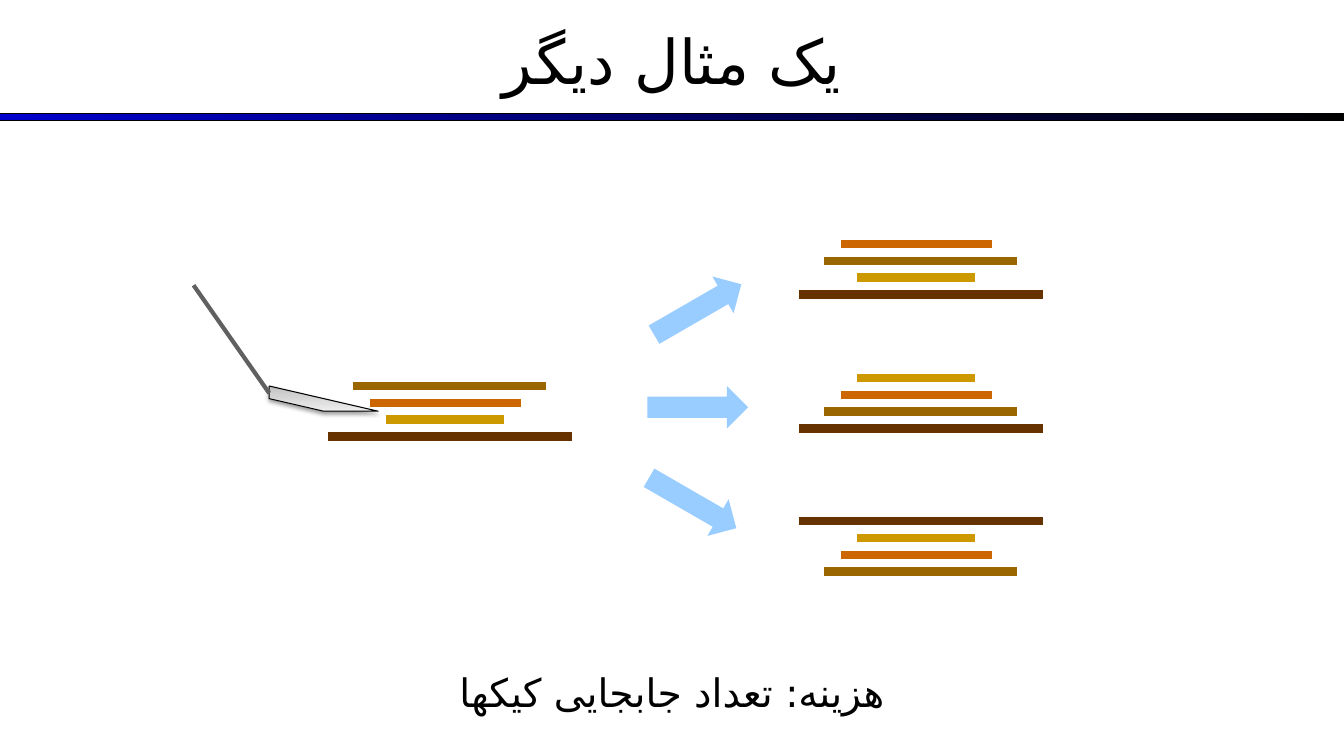
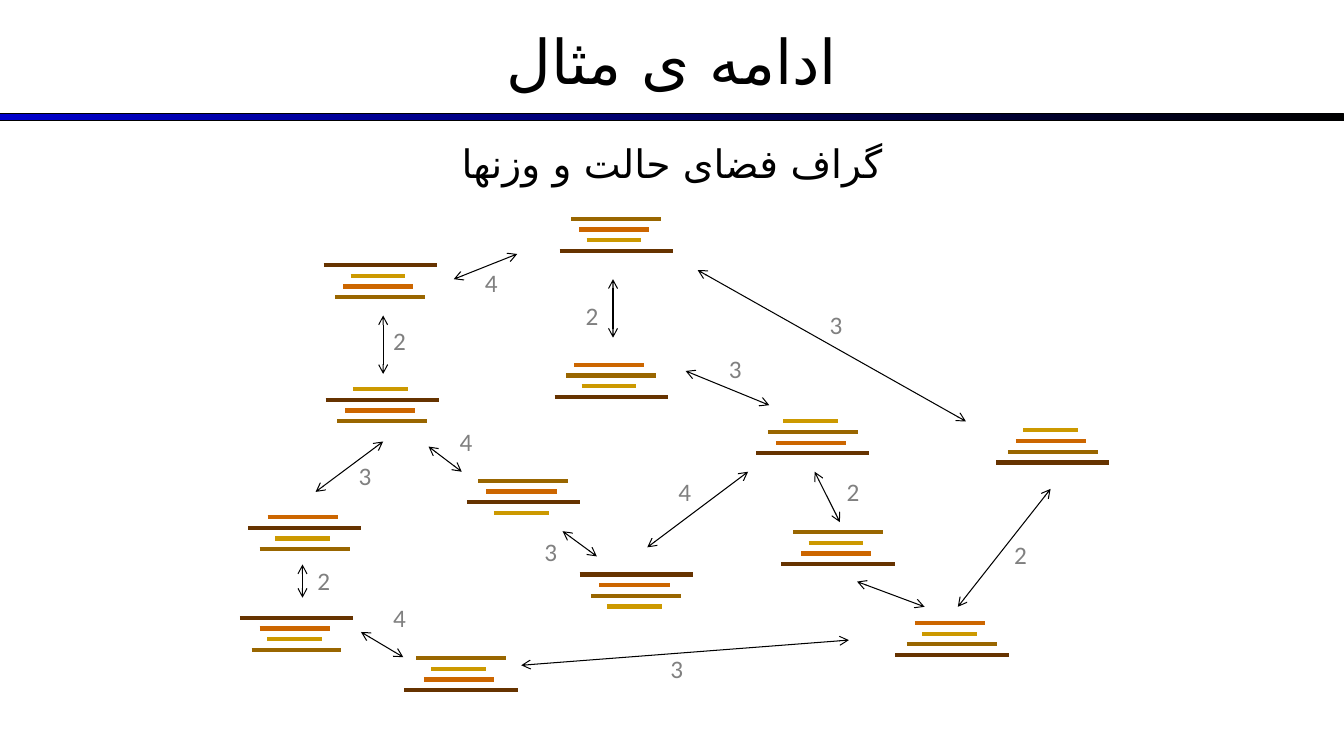
from dataclasses import dataclass

from pptx import Presentation
from pptx.dml.color import RGBColor
from pptx.enum.shapes import MSO_CONNECTOR as CONN, MSO_SHAPE as SHAPE
from pptx.enum.text import MSO_ANCHOR as ANCHOR, MSO_AUTO_SIZE as AUTO, PP_ALIGN as ALIGN
from pptx.oxml import parse_xml
from pptx.oxml.ns import nsdecls, qn
from pptx.oxml.xmlchemy import OxmlElement
from pptx.util import Inches, Pt


@dataclass(frozen=True)
class Theme:
    font: str = "Calibri"
    persian_font: str = "DejaVu Sans"
    title_size: int = 44
    caption_size: int = 28
    weight_size: int = 18
    ink: str = "000000"
    weight: str = "808080"
    arrow: str = "99CCFF"
    handle: str = "606060"
    band: tuple = ((0, "0000CC"), (100, "000000"))
    blade: tuple = ((0, "BDBDBD"), (35, "D1D1D1"), (100, "EEEEEE"))


T = Theme()
WIDTH, HEIGHT = 13.33, 7.5

# size letter: (left offset, width, colour), for a full-size stack
PANCAKES = {
    "S": (0.58, 1.17, "CC9900"),
    "M": (0.42, 1.5, "CC6600"),
    "L": (0.25, 1.92, "996600"),
    "X": (0, 2.42, "663300"),
}

# stacks: (left, top, pancakes from top to bottom)
FLIP_STACKS = [
    (3.25, 3.83, "LMSX"),
    (7.92, 2.42, "MLSX"),
    (7.92, 3.75, "SMLX"),
    (7.92, 5.17, "XSML"),
]
# arrows: (left, top, rotation)
FLIP_ARROWS = [(6.42, 2.86, -30), (6.42, 3.83, 0), (6.37, 4.78, 30)]

STATES = [
    (3.21, 2.63, "XSML"),
    (3.23, 3.86, "SXML"),
    (5.55, 2.17, "LMSX"),
    (2.46, 5.13, "MXSL"),
    (4.63, 4.77, "LMXS"),
    (9.88, 4.27, "SMLX"),
    (5.5, 3.62, "MLSX"),
    (5.75, 5.7, "XMLS"),
    (2.38, 6.13, "XMSL"),
    (4.01, 6.53, "LSMX"),
    (7.5, 4.18, "SLMX"),
    (8.88, 6.18, "MSLX"),
    (7.75, 5.28, "LSMX"),
]

# edges: (start, end, weight, place of the weight)
EDGES = [
    ((5.13, 2.52), (4.5, 2.77), "4", (4.71, 2.6)),
    ((3.8, 3.71), (3.8, 3.13), "2", (3.8, 3.18)),
    ((3.13, 4.88), (3.8, 4.38), "3", (3.46, 4.52)),
    ((4.58, 4.68), (4.25, 4.43), "4", (4.46, 4.18)),
    ((3, 5.93), (3, 5.6), "2", (3.05, 5.56)),
    ((4, 6.52), (3.58, 6.27), "4", (3.8, 5.93)),
    ((8.42, 6.35), (5.17, 6.6), "3", (6.55, 6.43)),
    ((5.92, 5.52), (5.58, 5.27), "3", (5.3, 5.27)),
    ((7.42, 4.68), (6.42, 5.43), "4", (6.63, 4.68)),
    ((6.8, 3.68), (7.63, 4.02), "3", (7.13, 3.46)),
    ((6.08, 2.77), (6.08, 3.35), "2", (5.71, 2.93)),
    ((9.58, 4.18), (6.92, 2.68), "3", (8.13, 3.02)),
    ((8.08, 4.68), (8.33, 5.18), "2", (8.3, 4.68)),
    ((8.5, 5.77), (9.17, 6.02), None, None),
    ((9.5, 6.02), (10.42, 4.85), "2", (9.96, 5.3)),
]


def rgb(code):
    return RGBColor.from_string(code)


def format_text(tf, size, color, align):
    p = tf.paragraphs[0]
    p.alignment = align
    r = p.runs[0]
    r.font.size = Pt(size)
    r.font.name = T.font
    r.font.color.rgb = rgb(color)
    return p


def format_persian(tf, size):
    """Centre right-to-left text and name its complex-script font."""
    p = format_text(tf, size, T.ink, ALIGN.CENTER)
    p._p.get_or_add_pPr().set("rtl", "1")
    cs = OxmlElement("a:cs")
    cs.set("typeface", T.persian_font)
    p.runs[0].font._element.append(cs)


def add_text(s, left, top, width, height, text):
    box = s.shapes.add_textbox(Inches(left), Inches(top), Inches(width), Inches(height))
    tf = box.text_frame
    tf.word_wrap = True
    tf.auto_size = AUTO.SHAPE_TO_FIT_TEXT
    tf.text = text
    return tf


def add_caption(s, top, text):
    format_persian(add_text(s, 0, top, WIDTH, 0.57, text), T.caption_size)


def add_line(s, start, end, color, width):
    line = s.shapes.add_connector(CONN.STRAIGHT, *map(Inches, start + end))
    line.line.color.rgb = rgb(color)
    line.line.width = Pt(width)
    line.element.spPr.append(OxmlElement("a:effectLst"))
    return line


def add_double_arrow(s, start, end):
    line = add_line(s, start, end, T.ink, 0.75)
    ln = line.element.spPr.find(qn("a:ln"))
    for tag in ("a:headEnd", "a:tailEnd"):
        tip = OxmlElement(tag)
        tip.set("type", "arrow")
        ln.append(tip)


def add_shape(s, kind, left, top, width, height):
    sp = s.shapes.add_shape(kind, Inches(left), Inches(top), Inches(width), Inches(height))
    sp.shadow.inherit = False
    return sp


def fill_gradient(sp, stops, angle):
    """Give a shape a linear gradient, with a thin outline."""
    gs = "".join(
        f'<a:gs pos="{pos * 1000}"><a:srgbClr val="{color}"/></a:gs>' for pos, color in stops
    )
    grad = parse_xml(
        f'<a:gradFill {nsdecls("a")} rotWithShape="1"><a:gsLst>{gs}</a:gsLst>'
        f'<a:lin ang="{angle * 60000}" scaled="0"/></a:gradFill>'
    )
    sp.element.spPr.find(qn("a:prstGeom")).addnext(grad)
    sp.line.color.rgb = rgb(T.ink)
    sp.line.width = Pt(0.75)


def add_stack(s, left, top, order, pitch, scale, weight):
    for row, size in enumerate(order):
        offset, width, color = PANCAKES[size]
        x, y = left + offset * scale, top + row * pitch
        add_line(s, (x, y), (x + width * scale, y), color, weight)


def add_spatula(s):
    blade = add_shape(s, SHAPE.DIAGONAL_STRIPE, 2.67, 3.83, 1.08, 0.25)
    blade.element.spPr.get_or_add_xfrm().set("flipV", "1")
    fill_gradient(blade, T.blade, 270)
    shadow = parse_xml(
        f'<a:outerShdw {nsdecls("a")} blurRad="{Pt(3.1)}" dist="{Pt(1.6)}" dir="5400000" '
        f'rotWithShape="0"><a:srgbClr val="{T.ink}"><a:alpha val="38000"/></a:srgbClr></a:outerShdw>'
    )
    blade.element.spPr.find(qn("a:effectLst")).append(shadow)
    add_line(s, (2.67, 3.9), (1.92, 2.83), T.handle, 3)


def add_block_arrow(s, left, top, rotation):
    arrow = add_shape(s, SHAPE.RIGHT_ARROW, left, top, 1, 0.42)
    arrow.rotation = rotation
    arrow.fill.solid()
    arrow.fill.fore_color.rgb = rgb(T.arrow)
    arrow.line.fill.background()


def add_slide(prs, layout, title):
    s = prs.slides.add_slide(layout)
    tf = s.shapes.title.text_frame
    tf.text = title
    tf.vertical_anchor = ANCHOR.MIDDLE
    format_persian(tf, T.title_size)
    return s


def place_title(layout):
    title = layout.placeholders[0]
    title.left, title.top = Inches(0), Inches(-0.03)
    title.width, title.height = Inches(WIDTH), Inches(1.25)


def add_band(s, layout):
    """Draw the band under the title and hand it to the layout, which all slides share."""
    band = add_shape(s, SHAPE.RECTANGLE, 0, 1.13, WIDTH, 0.07)
    fill_gradient(band, T.band, 0)
    layout.shapes.element.append(band.element)


def fill_flip_slide(s):
    for left, top, order in FLIP_STACKS:
        add_stack(s, left, top, order, pitch=1 / 6, scale=1, weight=6)
    add_spatula(s)
    for arrow in FLIP_ARROWS:
        add_block_arrow(s, *arrow)
    add_caption(s, 6.58, "هزینه: تعداد جابجایی کیکها")


def fill_graph_slide(s):
    add_caption(s, 1.33, "گراف فضای حالت و وزنها")
    for left, top, order in STATES:
        add_stack(s, left, top, order, pitch=0.106, scale=0.464, weight=3)
    for start, end, weight, place in EDGES:
        add_double_arrow(s, start, end)
        if weight:
            tf = add_text(s, *place, 0.33, 0.4, weight)
            format_text(tf, T.weight_size, T.weight, ALIGN.LEFT)


def main():
    prs = Presentation()
    prs.slide_width, prs.slide_height = Inches(WIDTH), Inches(HEIGHT)
    layout = prs.slide_layouts.get_by_name("Title Only")
    place_title(layout)
    flip = add_slide(prs, layout, "یک مثال دیگر")
    add_band(flip, layout)
    fill_flip_slide(flip)
    fill_graph_slide(add_slide(prs, layout, "ادامه ی مثال"))
    prs.save("out.pptx")


if __name__ == "__main__":
    main()
